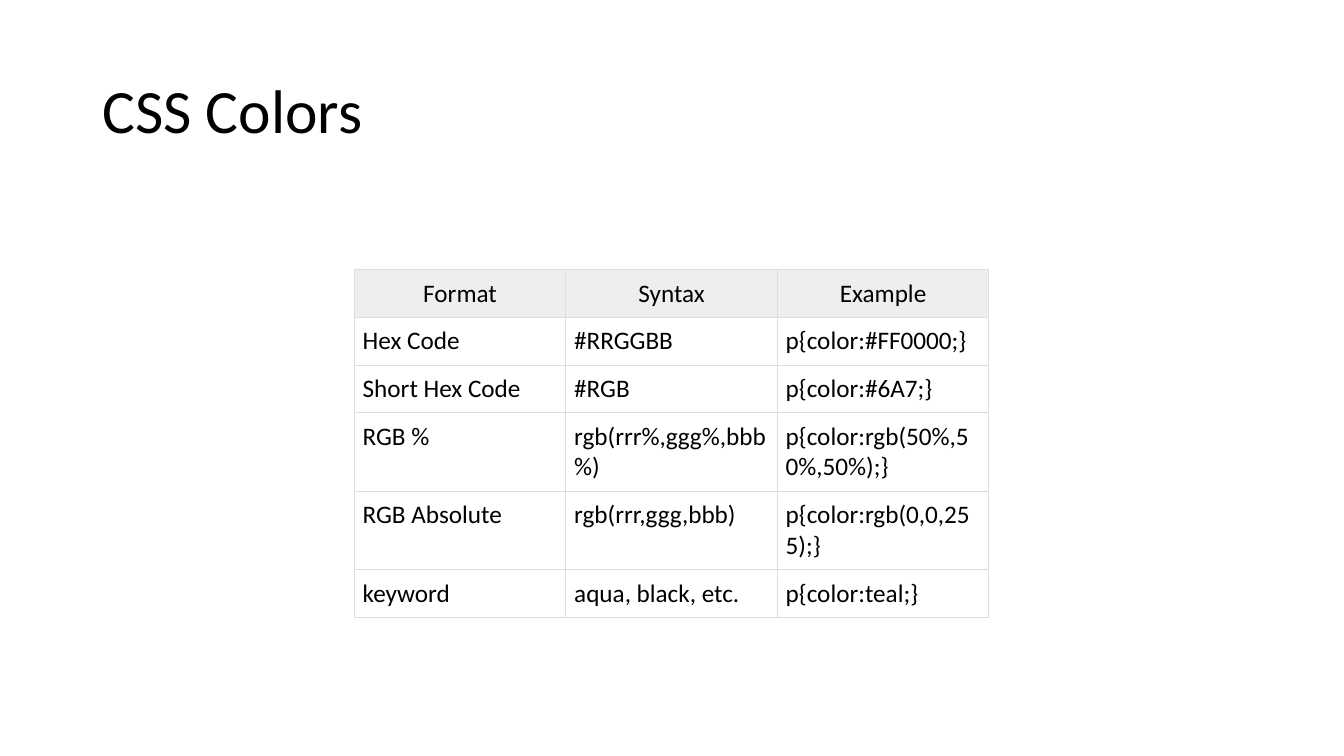
"""Build the CSS Colors slide: a title above a table of colour formats."""
import dataclasses

import lxml.etree
import pptx
import pptx.dml.color
import pptx.enum.text
import pptx.oxml.ns
import pptx.util

TITLE = "CSS Colors"
ROWS = [
    ("Format", "Syntax", "Example"),
    ("Hex Code", "#RRGGBB", "p{color:#FF0000;}"),
    ("Short Hex Code", "#RGB", "p{color:#6A7;}"),
    ("RGB %", "rgb(rrr%,ggg%,bbb%)", "p{color:rgb(50%,50%,50%);}"),
    ("RGB Absolute", "rgb(rrr,ggg,bbb)", "p{color:rgb(0,0,255);}"),
    ("keyword", "aqua, black, etc.", "p{color:teal;}"),
]
TALL = {3, 4}

Cm = pptx.util.Cm
Pt = pptx.util.Pt
Align = pptx.enum.text.PP_ALIGN
Anchor = pptx.enum.text.MSO_ANCHOR


@dataclasses.dataclass(frozen=True)
class Theme:
    font: str = "Calibri"
    ink: str = "000000"
    head: str = "EEEEEE"
    rule: str = "DDDDDD"
    title: int = 44
    body: int = 18
    line: float = 0.75


THEME = Theme()
COL = Cm(5.33)
LOW, HIGH = Cm(1.2), Cm(1.98)
PAD = Cm(0.21)


def style(para, size, align):
    para.alignment = align
    for run in para.runs:
        run.font.name = THEME.font
        run.font.size = Pt(size)
        run.font.bold = False
        run.font.color.rgb = pptx.dml.color.RGBColor.from_string(THEME.ink)


def border(cell):
    props = cell._tc.get_or_add_tcPr()
    qn = pptx.oxml.ns.qn
    for side in ("lnL", "lnR", "lnT", "lnB"):
        line = lxml.etree.SubElement(props, qn(f"a:{side}"), w=str(Pt(THEME.line)))
        fill = lxml.etree.SubElement(line, qn("a:solidFill"))
        lxml.etree.SubElement(fill, qn("a:srgbClr"), val=THEME.rule)


def add_title(slide):
    title = slide.shapes.title
    title.left, title.top = Cm(2.33), Cm(1.01)
    title.width, title.height = Cm(29.21), Cm(3.68)
    frame = title.text_frame
    frame.text = TITLE
    frame.word_wrap = True
    frame.auto_size = pptx.enum.text.MSO_AUTO_SIZE.NONE
    frame.vertical_anchor = Anchor.MIDDLE
    para = frame.paragraphs[0]
    para.line_spacing = 0.9
    style(para, THEME.title, Align.LEFT)


def add_formats(slide):
    highs = [HIGH if i in TALL else LOW for i in range(len(ROWS))]
    count = len(ROWS[0])
    table = slide.shapes.add_table(
        len(ROWS), count, Cm(8.93), Cm(6.8), COL * count, sum(highs)
    ).table
    table.first_row = True
    table.horz_banding = False
    for col in table.columns:
        col.width = COL
    for i, (row, high) in enumerate(zip(ROWS, highs)):
        table.rows[i].height = high
        for j, text in enumerate(row):
            cell = table.cell(i, j)
            cell.text_frame.text = text
            cell.margin_left = cell.margin_right = PAD
            cell.margin_top = cell.margin_bottom = PAD
            cell.vertical_anchor = Anchor.TOP
            border(cell)
            if i == 0:
                cell.fill.solid()
                cell.fill.fore_color.rgb = pptx.dml.color.RGBColor.from_string(THEME.head)
            else:
                cell.fill.background()
            align = Align.LEFT if i else Align.CENTER
            style(cell.text_frame.paragraphs[0], THEME.body, align)


def main():
    deck = pptx.Presentation()
    deck.slide_width, deck.slide_height = Cm(33.87), Cm(19.05)
    slide = deck.slides.add_slide(deck.slide_layouts[5])
    add_title(slide)
    add_formats(slide)
    deck.save("out.pptx")


if __name__ == "__main__":
    main()
